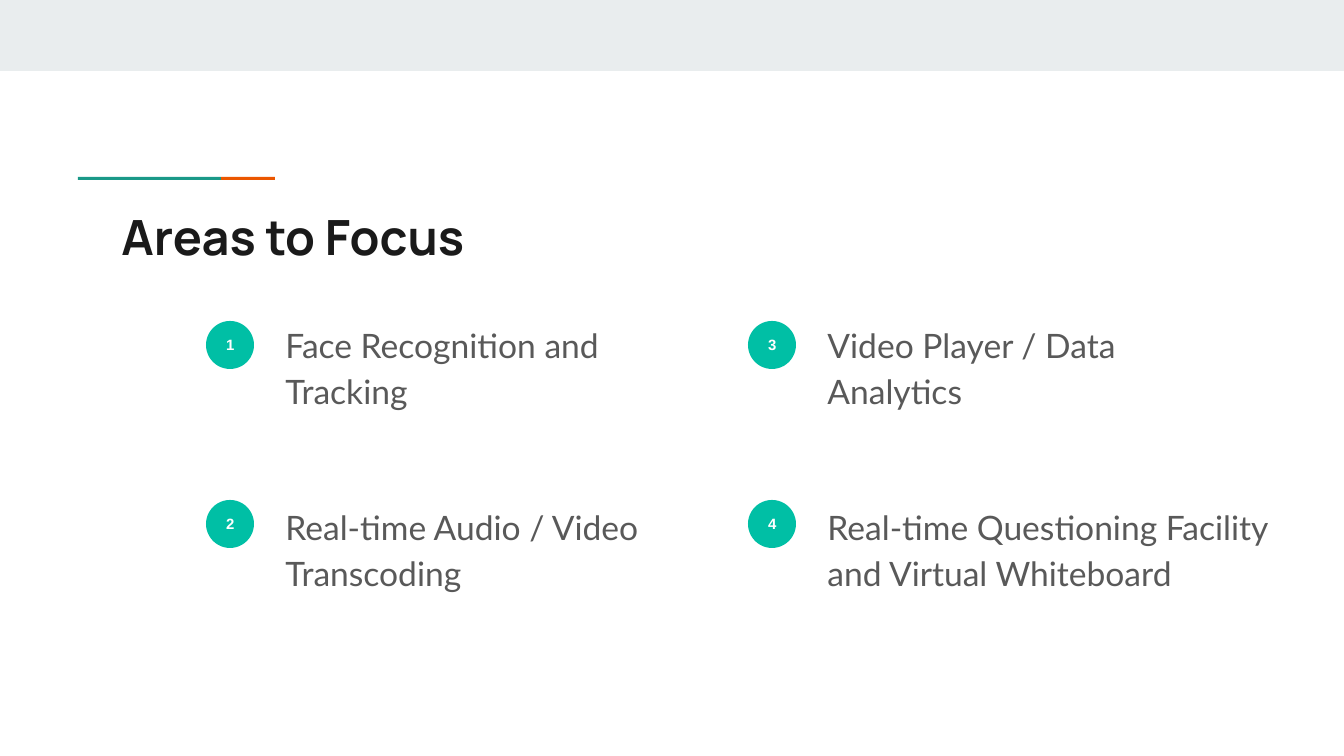
from lxml import etree
from pptx import Presentation
from pptx.dml.color import RGBColor
from pptx.enum.shapes import MSO_SHAPE
from pptx.enum.text import MSO_ANCHOR, MSO_AUTO_SIZE, PP_ALIGN
from pptx.oxml.ns import qn
from pptx.util import Pt

RECTANGLE, OVAL = MSO_SHAPE.RECTANGLE, MSO_SHAPE.OVAL
TOP, MIDDLE = MSO_ANCHOR.TOP, MSO_ANCHOR.MIDDLE
LEFT, CENTER = PP_ALIGN.LEFT, PP_ALIGN.CENTER
NO_AUTOFIT = MSO_AUTO_SIZE.NONE

EMU_PER_PX = 914400 / 134.4
COLORS = {
    "header": "E9EDEE",
    "teal": "1A9988",
    "orange": "EB5600",
    "badge": "00BFA5",
    "title": "1A1A1A",
    "body": "595959",
    "white": "FFFFFF",
}


def add_plain_shape(kind, box, color):
    """Add a borderless, shadowless shape; box is left, top, width, height in px."""
    shape = slide.shapes.add_shape(kind, *(round(v * EMU_PER_PX) for v in box))
    shape.shadow.inherit = False
    shape.fill.solid()
    shape.fill.fore_color.rgb = RGBColor.from_string(COLORS[color])
    shape.line.fill.background()
    return shape


def set_text(shape, text, font, size, color, bold, align, anchor):
    """Write one formatted run and return its paragraph."""
    frame = shape.text_frame
    frame.word_wrap = True
    frame.auto_size = NO_AUTOFIT
    frame.vertical_anchor = anchor
    frame.margin_left = frame.margin_right = round(13.44 * EMU_PER_PX)
    frame.margin_top = frame.margin_bottom = round(13.44 * EMU_PER_PX)
    paragraph = frame.paragraphs[0]
    paragraph.alignment = align
    run = paragraph.add_run()
    run.text = text
    run.font.name = font
    run.font.size = Pt(size)
    run.font.bold = bold
    run.font.color.rgb = RGBColor.from_string(COLORS[color])
    return paragraph


presentation = Presentation()
presentation.slide_width = round(1344 * EMU_PER_PX)
presentation.slide_height = round(756 * EMU_PER_PX)

# The Comparison layout offers a title and four text areas
slide = presentation.slides.add_slide(presentation.slide_layouts[4])
title, *bodies = slide.placeholders

add_plain_shape(RECTANGLE, (0, 0, 1344, 71), "header")
add_plain_shape(RECTANGLE, (78, 177, 143, 3), "teal")
add_plain_shape(RECTANGLE, (221, 177, 54, 3), "orange")

title.left, title.top, title.width, title.height = (
    round(v * EMU_PER_PX) for v in (108, 194, 1130, 79))
set_text(title, "Areas to Focus", "Manrope", 26, "title", True, LEFT, TOP)

# Focus areas run down the left column, then the right: text, width, height
areas = [
    ("Face Recognition and Tracking", 417, 155),
    ("Real-time Audio / Video Transcoding", 417, 103),
    ("Video Player / Data Analytics", 417, 124),
    ("Real-time Questioning Facility and Virtual Whiteboard", 473, 155),
]
for index, (body, (text, width, height)) in enumerate(zip(bodies, areas)):
    column, row = divmod(index, 2)
    column_left = 206 + 542 * column

    badge = add_plain_shape(OVAL, (column_left, 321 + 179 * row, 48, 48), "badge")
    set_text(badge, str(index + 1), "Arial", 8, "white", True, CENTER, MIDDLE)

    body.left, body.top, body.width, body.height = (
        round(v * EMU_PER_PX)
        for v in (column_left + 66, 305 + 182 * row, width, height))
    paragraph = set_text(body, text, "Lato", 18, "body", False, LEFT, TOP)
    paragraph.line_spacing = 1.15
    paragraph.space_before = Pt(0)
    paragraph.space_after = Pt(16)
    properties = paragraph._p.get_or_add_pPr()
    properties.set("marL", "0")
    properties.set("indent", "0")
    etree.SubElement(properties, qn("a:buNone"))

presentation.save("out.pptx")
